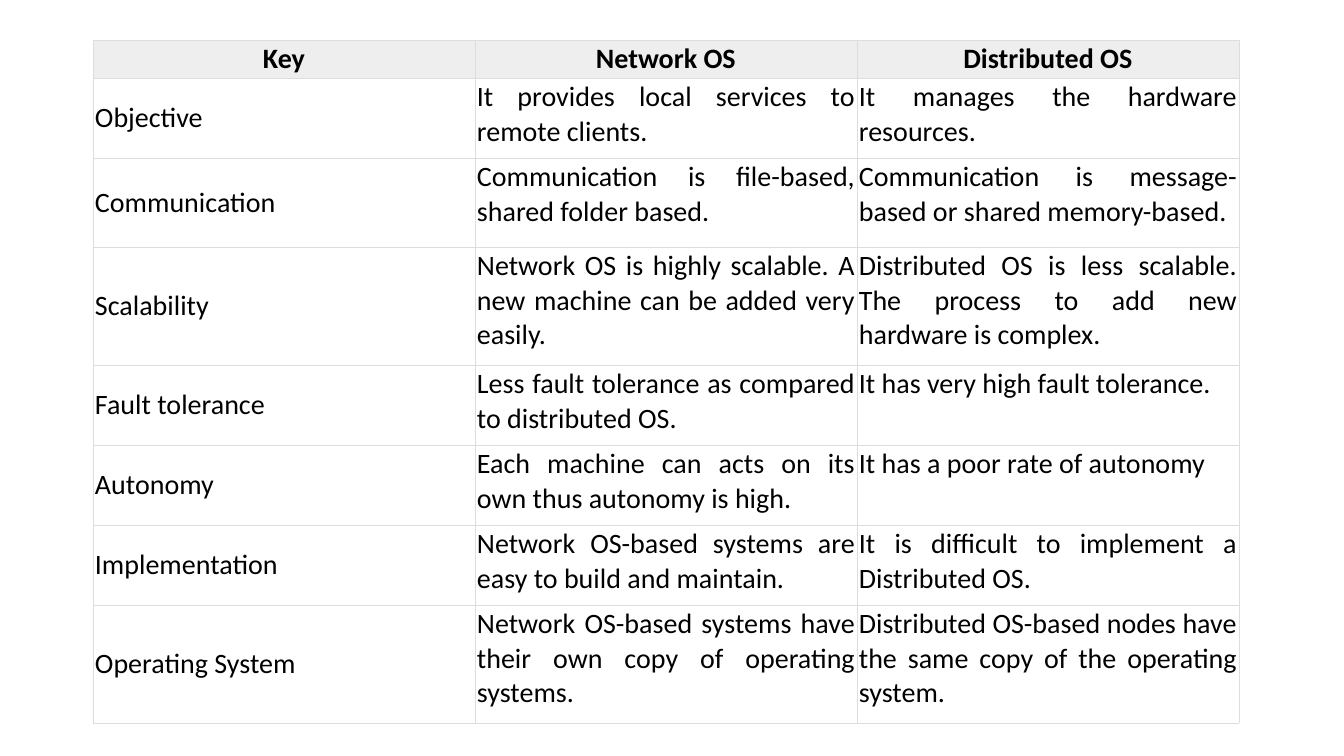
from lxml.etree import SubElement
from pptx import Presentation
from pptx.dml.color import RGBColor
from pptx.enum.text import MSO_ANCHOR, PP_ALIGN
from pptx.oxml.ns import qn
from pptx.util import Pt

COLORS = {"text": "000000", "head": "EEEEEE", "body": "FFFFFF", "border": "DDDDDD"}
FONT = {"name": "Calibri", "size": Pt(20)}
COL_WIDTH = 382
ROW_HEIGHTS = [28, 80, 89, 118, 80, 80, 80, 118]
ROWS = [
    ("Key", "Network OS", "Distributed OS"),
    ("Objective",
     "It provides local services to remote clients.",
     "It manages the hardware resources."),
    ("Communication",
     "Communication is file-based, shared folder based.",
     "Communication is message-based or shared memory-based."),
    ("Scalability",
     "Network OS is highly scalable. A new machine can be added very easily.",
     "Distributed OS is less scalable. The process to add new hardware is complex."),
    ("Fault tolerance",
     "Less fault tolerance as compared to distributed OS.",
     "It has very high fault tolerance."),
    ("Autonomy",
     "Each machine can acts on its own thus autonomy is high.",
     "It has a poor rate of autonomy"),
    ("Implementation",
     "Network OS-based systems are easy to build and maintain.",
     "It is difficult to implement a Distributed OS."),
    ("Operating System",
     "Network OS-based systems have their own copy of operating systems.",
     "Distributed OS-based nodes have the same copy of the operating system."),
]


def px(n):
    return round(n * 914400 / 100.8)


def set_attrs(obj, values):
    for name, value in values.items():
        setattr(obj, name, value)


def add_borders(cell):
    tc_pr = cell._tc.get_or_add_tcPr()
    for side in ("lnL", "lnR", "lnT", "lnB"):
        ln = SubElement(tc_pr, qn(f"a:{side}"), w=str(Pt(0.5)))
        fill = SubElement(ln, qn("a:solidFill"))
        SubElement(fill, qn("a:srgbClr"), val=COLORS["border"])


def fill_cell(cell, text, is_head, is_key):
    add_borders(cell)
    cell.fill.solid()
    cell.fill.fore_color.rgb = RGBColor.from_string(COLORS["head" if is_head else "body"])
    sides = ("left", "right", "top", "bottom")
    set_attrs(cell, {f"margin_{side}": px(2) for side in sides})
    cell.vertical_anchor = MSO_ANCHOR.MIDDLE if is_head or is_key else MSO_ANCHOR.TOP
    p = cell.text_frame.paragraphs[0]
    p.alignment = PP_ALIGN.CENTER if is_head else PP_ALIGN.JUSTIFY
    r = p.add_run()
    r.text = text
    set_attrs(r.font, {**FONT, "bold": is_head})
    r.font.color.rgb = RGBColor.from_string(COLORS["text"])


def add_comparison(s, left, top):
    n_cols = len(ROWS[0])
    table = s.shapes.add_table(len(ROWS), n_cols, px(left), px(top),
                               px(COL_WIDTH * n_cols), px(sum(ROW_HEIGHTS))).table
    set_attrs(table, {"first_row": True, "horz_banding": False})
    for col in table.columns:
        col.width = px(COL_WIDTH)
    for i, (height, texts) in enumerate(zip(ROW_HEIGHTS, ROWS)):
        table.rows[i].height = px(height)
        for j, text in enumerate(texts):
            fill_cell(table.cell(i, j), text, i == 0, j == 0)


def main():
    prs = Presentation()
    set_attrs(prs, {"slide_width": px(1344), "slide_height": px(756)})
    s = prs.slides.add_slide(prs.slide_layouts[6])
    add_comparison(s, 93, 40)
    prs.save("out.pptx")


if __name__ == "__main__":
    main()
